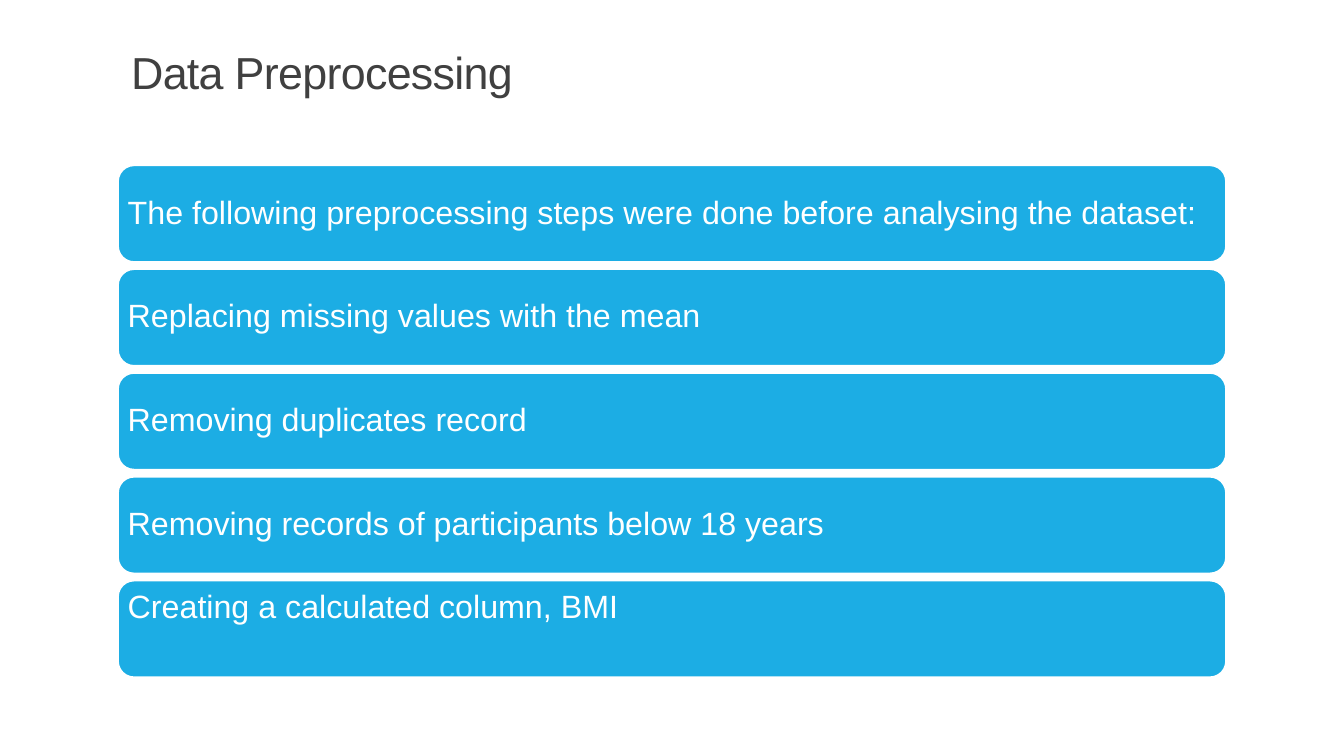
from pptx import Presentation
from pptx import util as u
from pptx.dml.color import RGBColor
from pptx.enum import shapes, text

PX = 9144  # 100 px to the inch
HUES = {"bar": "1CADE4", "white": "FFFFFF", "title": "404040"}
STEPS = [
    "The following preprocessing steps were done before analysing the dataset:",
    "Replacing missing values with the mean",
    "Removing duplicates record",
    "Removing records of participants below 18 years",
    "Creating a calculated column, BMI",
]
LEFT, TOP, WIDE, HIGH, PITCH = 117, 164, 1099, 96, 103
INSET = 10


def hue(name):
    return RGBColor.from_string(HUES[name])


def write(shape, words, size, color, anchor):
    frame = shape.text_frame
    form = {"word_wrap": True, "auto_size": text.MSO_AUTO_SIZE.NONE,
            "vertical_anchor": anchor}
    for key, val in form.items():
        setattr(frame, key, val)
    for side in ("left", "top", "right", "bottom"):
        setattr(frame, f"margin_{side}", INSET * PX)
    para = frame.paragraphs[0]
    para.alignment = text.PP_ALIGN.LEFT
    para.line_spacing = 0.9
    run = para.add_run()
    run.text = words
    for key, val in {"name": "Arial", "size": u.Pt(size)}.items():
        setattr(run.font, key, val)
    run.font.color.rgb = hue(color)
    return run


deck = Presentation()
deck.slide_width, deck.slide_height = 1333 * PX, 750 * PX
slide = deck.slides.add_slide(deck.slide_layouts[5])

title = slide.shapes.title
place = {"left": 120, "top": 31, "width": 1100, "height": 77}
for key, val in place.items():
    setattr(title, key, val * PX)
run = write(title, "Data Preprocessing", 32, "title", text.MSO_ANCHOR.BOTTOM)
run._r.get_or_add_rPr().set("spc", "-50")

for row, step in enumerate(STEPS):
    bar = slide.shapes.add_shape(
        shapes.MSO_SHAPE.ROUNDED_RECTANGLE,
        LEFT * PX, (TOP + row * PITCH) * PX, WIDE * PX, HIGH * PX)
    bar.shadow.inherit = False
    bar.fill.solid()
    bar.fill.fore_color.rgb = hue("bar")
    bar.line.color.rgb = hue("white")
    bar.line.width = u.Pt(1.25)
    last = row == len(STEPS) - 1
    anchor = text.MSO_ANCHOR.TOP if last else text.MSO_ANCHOR.MIDDLE
    write(bar, step, 23, "white", anchor)
    # Cancel the inset that the rounded corners add to the text area
    for side in ("left", "top", "right", "bottom"):
        setattr(bar.text_frame, f"margin_{side}", 5 * PX)

deck.save("out.pptx")
